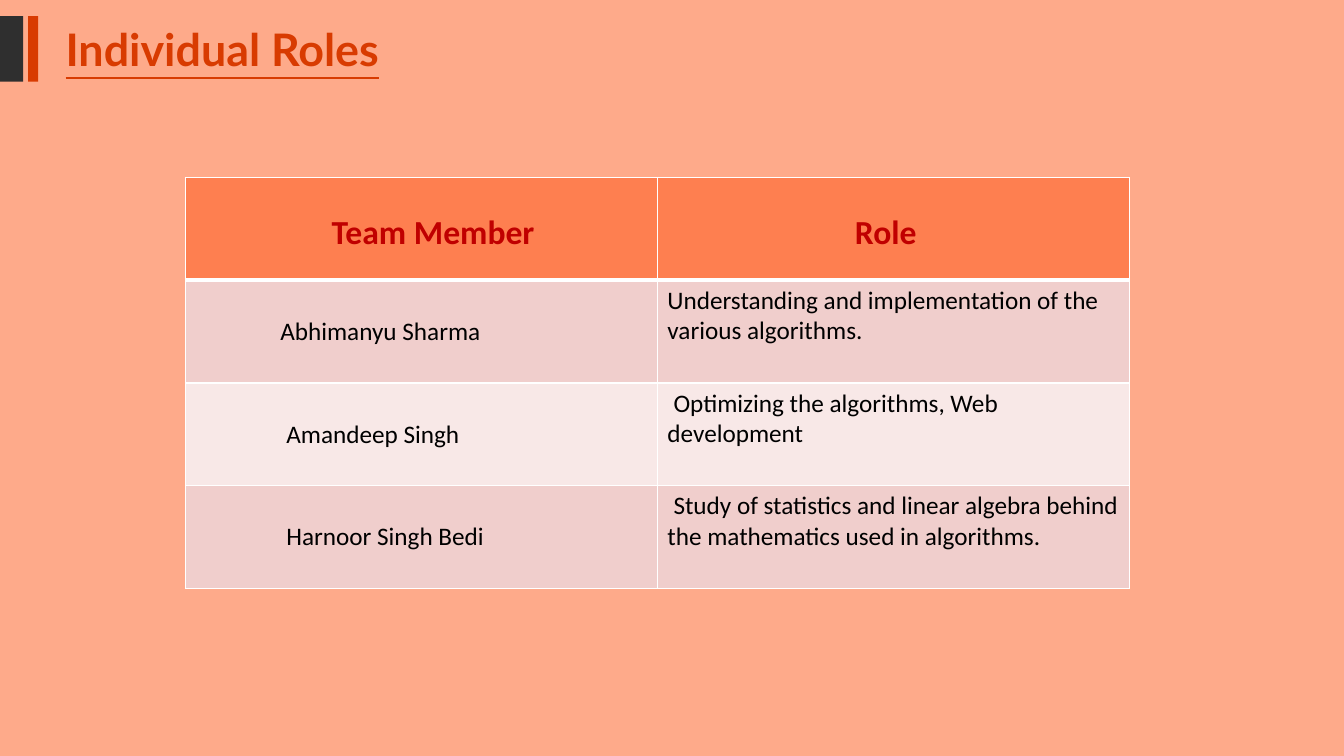
import pptx
import pptx.dml.color
import pptx.enum.text
import pptx.oxml
import pptx.oxml.ns
import pptx.util
from pptx.enum.shapes import MSO_SHAPE
from pptx.util import Inches

COLORS = {
    "background": "FEAA8A",
    "accent": "D83B01",
    "dark": "2F2F2F",
    "header": "FE7F50",
    "header_text": "C00000",
    "band_dark": "F0CECC",
    "band_light": "F8E8E7",
    "text": "000000",
    "border": "FFFFFF",
}

# Each entry is (text, first-line indent in inches)
HEADER = [("Team Member", 1.35), ("Role", 1.86)]
MEMBERS = [
    [("Abhimanyu Sharma", 0.84),
     ("Understanding and implementation of the various algorithms.", 0)],
    [("Amandeep Singh", 0.9),
     ("Optimizing the algorithms, Web development", 0.06)],
    [("Harnoor Singh Bedi", 0.9),
     ("Study of statistics and linear algebra behind the mathematics used in algorithms.", 0.06)],
]


def color(name):
    return pptx.dml.color.RGBColor.from_string(COLORS[name])


class RolesSlide:
    title_font = "Lato"
    body_font = "Calibri"

    def __init__(self, deck):
        self.page = deck.slides.add_slide(deck.slide_layouts[5])
        self.page.background.fill.solid()
        self.page.background.fill.fore_color.rgb = color("background")

    def style(self, para, font, size, color_name, bold=False):
        para.font.name = font
        para.font.size = pptx.util.Pt(size)
        para.font.bold = bold
        para.font.color.rgb = color(color_name)

    def title(self, text, left, top, width, height):
        box = self.page.shapes.title
        box.left, box.top = Inches(left), Inches(top)
        box.width, box.height = Inches(width), Inches(height)
        frame = box.text_frame
        frame.text = text
        frame.word_wrap = True
        frame.auto_size = pptx.enum.text.MSO_AUTO_SIZE.SHAPE_TO_FIT_TEXT
        frame.vertical_anchor = pptx.enum.text.MSO_ANCHOR.TOP
        para = frame.paragraphs[0]
        para.alignment = pptx.enum.text.PP_ALIGN.LEFT
        para.line_spacing = 0.8
        self.style(para, self.title_font, 32, "accent", bold=True)
        para.font.underline = True

    def bar(self, group, left, top, width, height, fill):
        shape = group.shapes.add_shape(
            MSO_SHAPE.RECTANGLE, Inches(left), Inches(top), Inches(width), Inches(height))
        shape.shadow.inherit = False
        shape.fill.solid()
        shape.fill.fore_color.rgb = color(fill)
        shape.line.fill.background()

    def borders(self, cell, top, bottom):
        properties = cell._tc.get_or_add_tcPr()
        for side, points in (("L", 1), ("R", 1), ("T", top), ("B", bottom)):
            properties.append(pptx.oxml.parse_xml(
                f'<a:ln{side} {pptx.oxml.ns.nsdecls("a")} w="{pptx.util.Pt(points)}">'
                f'<a:solidFill><a:srgbClr val="{COLORS["border"]}"/></a:solidFill>'
                f'</a:ln{side}>'))

    def cell(self, cell, text, indent, fill, top, bottom):
        self.borders(cell, top, bottom)
        cell.fill.solid()
        cell.fill.fore_color.rgb = color(fill)
        cell.text = text
        para = cell.text_frame.paragraphs[0]
        properties = para._p.get_or_add_pPr()
        properties.set("marL", "0")
        properties.set("indent", str(Inches(indent)))
        return para

    def table(self, left, top, width, height, header, members):
        rows = [header] + members
        table = self.page.shapes.add_table(
            len(rows), len(header),
            Inches(left), Inches(top), Inches(width), Inches(height)).table
        table.first_row = table.horz_banding = False
        for row, entries in enumerate(rows):
            for column, (text, indent) in enumerate(entries):
                cell = table.cell(row, column)
                if row == 0:
                    para = self.cell(cell, text, indent, "header", 1, 3)
                    self.style(para, self.body_font, 24, "header_text", bold=True)
                    cell.margin_top = Inches(0.35)
                else:
                    band = "band_dark" if row % 2 else "band_light"
                    para = self.cell(cell, text, indent, band, 3 if row == 1 else 1, 1)
                    self.style(para, self.body_font, 18, "text")
                    if column == 0:
                        cell.vertical_anchor = pptx.enum.text.MSO_ANCHOR.MIDDLE


def main():
    deck = pptx.Presentation()
    deck.slide_width, deck.slide_height = Inches(13.33), Inches(7.5)
    slide = RolesSlide(deck)

    # Title with its pair of bars
    slide.title("Individual Roles", 0.55, 0.27, 6.67, 0.54)
    bars = slide.page.shapes.add_group_shape()
    slide.bar(bars, 0, 0.16, 0.23, 0.65, "dark")
    slide.bar(bars, 0.28, 0.16, 0.1, 0.65, "accent")

    # Team roles
    slide.table(1.84, 1.76, 9.36, 4.08, HEADER, MEMBERS)

    deck.save("out.pptx")


if __name__ == "__main__":
    main()
